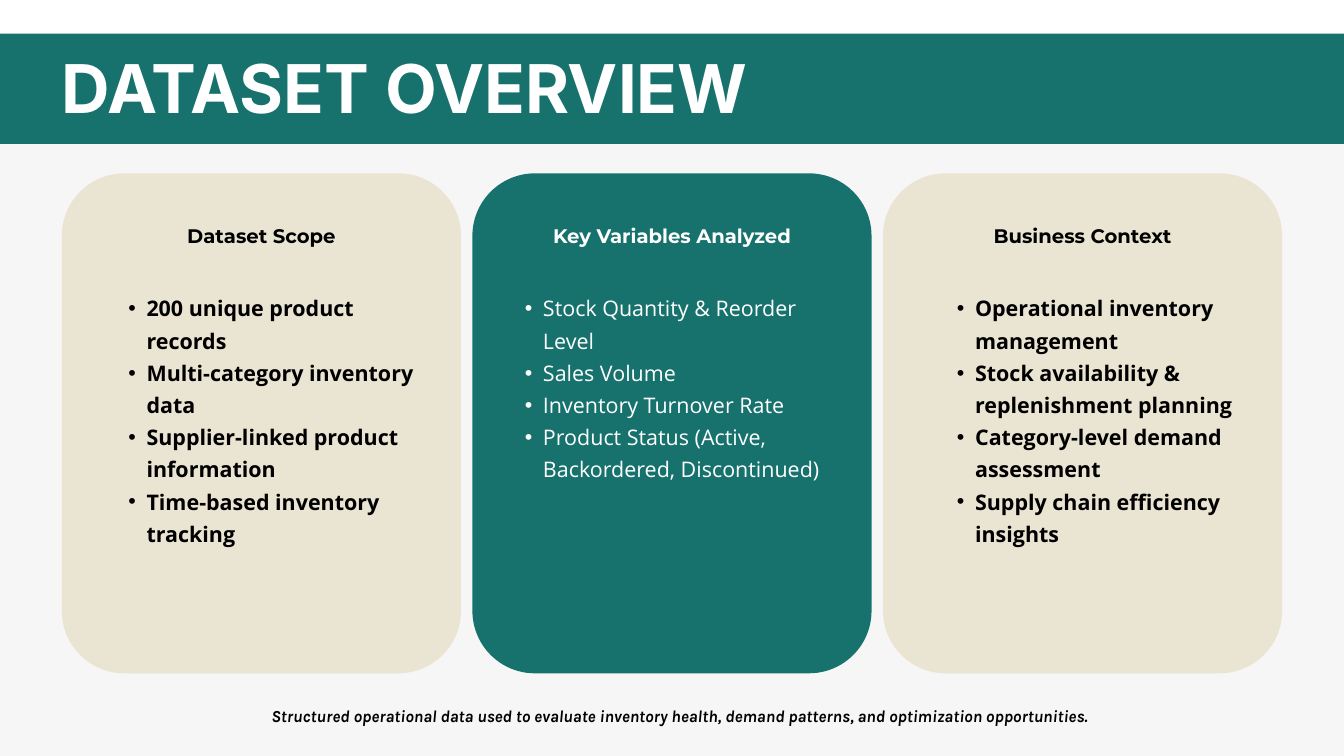
from lxml.etree import SubElement
from pptx import Presentation
from pptx.dml.color import RGBColor
from pptx.enum.shapes import MSO_SHAPE as SHAPE
from pptx.enum.text import MSO_ANCHOR, MSO_AUTO_SIZE, PP_ALIGN as ALIGN
from pptx.oxml.ns import qn
from pptx.util import Inches, Pt

TEAL, SAND, GREY = "17726D", "EAE4D2", "F6F6F6"
BLACK, WHITE = "000000", "FFFFFF"
CARD_W, CARD_H, PITCH = 5.94, 7.44, 6.11

# Heading, items, fill, text colour, bold list, list offset in card, list width
CARDS = [
    ("Dataset Scope",
     ["200 unique product records", "Multi-category inventory data",
      "Supplier-linked product information", "Time-based inventory tracking"],
     SAND, BLACK, True, 0.72, 4.59),
    ("Key Variables Analyzed",
     ["Stock Quantity & Reorder Level", "Sales Volume",
      "Inventory Turnover Rate",
      "Product Status (Active, Backordered, Discontinued)"],
     TEAL, WHITE, False, 0.51, 4.78),
    ("Business Context",
     ["Operational inventory management",
      "Stock availability & replenishment planning",
      "Category-level demand assessment", "Supply chain efficiency insights"],
     SAND, BLACK, True, 0.83, 4.5),
]


def rgb(color):
    return RGBColor.from_string(color)


def add_block(slide, kind, box, color):
    s = slide.shapes.add_shape(kind, *map(Inches, box))
    s.shadow.inherit = False
    s.fill.solid()
    s.fill.fore_color.rgb = rgb(color)
    s.line.fill.background()
    return s


def add_bullet(p):
    pPr = p._p.get_or_add_pPr()
    pPr.set("marL", str(Inches(0.54)))
    pPr.set("indent", str(Inches(-0.27)))
    SubElement(pPr, qn("a:buFont")).set("typeface", "Arial")
    SubElement(pPr, qn("a:buChar")).set("char", "•")


def put_text(slide, box, lines, font, size, leading, color=BLACK, bold=True,
             italic=False, align=ALIGN.LEFT, bullets=False, holder=None):
    """Write lines into a placeholder, or into a new text box."""
    if holder is None:
        s = slide.shapes.add_textbox(*map(Inches, box))
    else:
        s = holder
        s.left, s.top, s.width, s.height = map(Inches, box)
        slide.shapes._spTree.append(s._element)  # bring to front
    tf = s.text_frame
    tf.word_wrap = True
    tf.auto_size = MSO_AUTO_SIZE.NONE
    tf.vertical_anchor = MSO_ANCHOR.TOP
    tf.margin_left = tf.margin_top = tf.margin_right = tf.margin_bottom = 0
    for i, line in enumerate(lines):
        p = tf.add_paragraph() if i else tf.paragraphs[0]
        if bullets:
            add_bullet(p)
        p.alignment = align
        p.line_spacing = Pt(leading)
        p.space_before = p.space_after = Pt(0)
        r = p.add_run()
        r.text = line
        r.font.name, r.font.size = font, Pt(size)
        r.font.bold, r.font.italic = bold, italic
        r.font.color.rgb = rgb(color)


def add_header(slide, x, y, w, h):
    add_block(slide, SHAPE.RECTANGLE, (x, y, w, h), TEAL)
    put_text(slide, (x + 0.92, y + 0.34, 10.63, 1.1), ["DATASET OVERVIEW"],
             "Inter", 72, 75.6, WHITE, holder=slide.shapes.title)


def add_card(slide, x, y, w, h, card, holder):
    heading, items, fill, color, bold, offset, list_w = card
    s = add_block(slide, SHAPE.ROUNDED_RECTANGLE, (x, y, w, h), fill)
    s.adjustments[0] = 0.93 / w
    put_text(slide, (x + 1.19, y + 0.7, w - 2.38, 0.39), [heading],
             "Montserrat", 21, 29.4, color, align=ALIGN.CENTER)
    put_text(slide, (x + offset, y + 1.72, list_w, 4.29), items, "Open Sans",
             23, 34.5, color, bold, bullets=True, holder=holder)


def add_footnote(slide, *box):
    put_text(slide, box, [
        "Structured operational data used to evaluate inventory health, "
        "demand patterns, and optimization opportunities."],
        "Karla", 18, 27.9, italic=True, align=ALIGN.CENTER)


def main():
    prs = Presentation()
    prs.slide_width, prs.slide_height = Inches(20), Inches(11.25)
    # The Comparison layout has a title and four bodies; three hold lists
    slide = prs.slides.add_slide(prs.slide_layouts[4])
    *holders, spare = list(slide.placeholders)[1:]
    spare._element.getparent().remove(spare._element)

    # Page background below the header
    add_block(slide, SHAPE.RECTANGLE, (0, 2.14, 20, 9.11), GREY)
    add_header(slide, 0, 0.5, 20, 1.64)
    for i, (card, holder) in enumerate(zip(CARDS, holders)):
        add_card(slide, 0.92 + i * PITCH, 2.58, CARD_W, CARD_H, card, holder)
    add_footnote(slide, 3.39, 10.42, 13.45, 0.35)
    prs.save("out.pptx")


if __name__ == "__main__":
    main()
